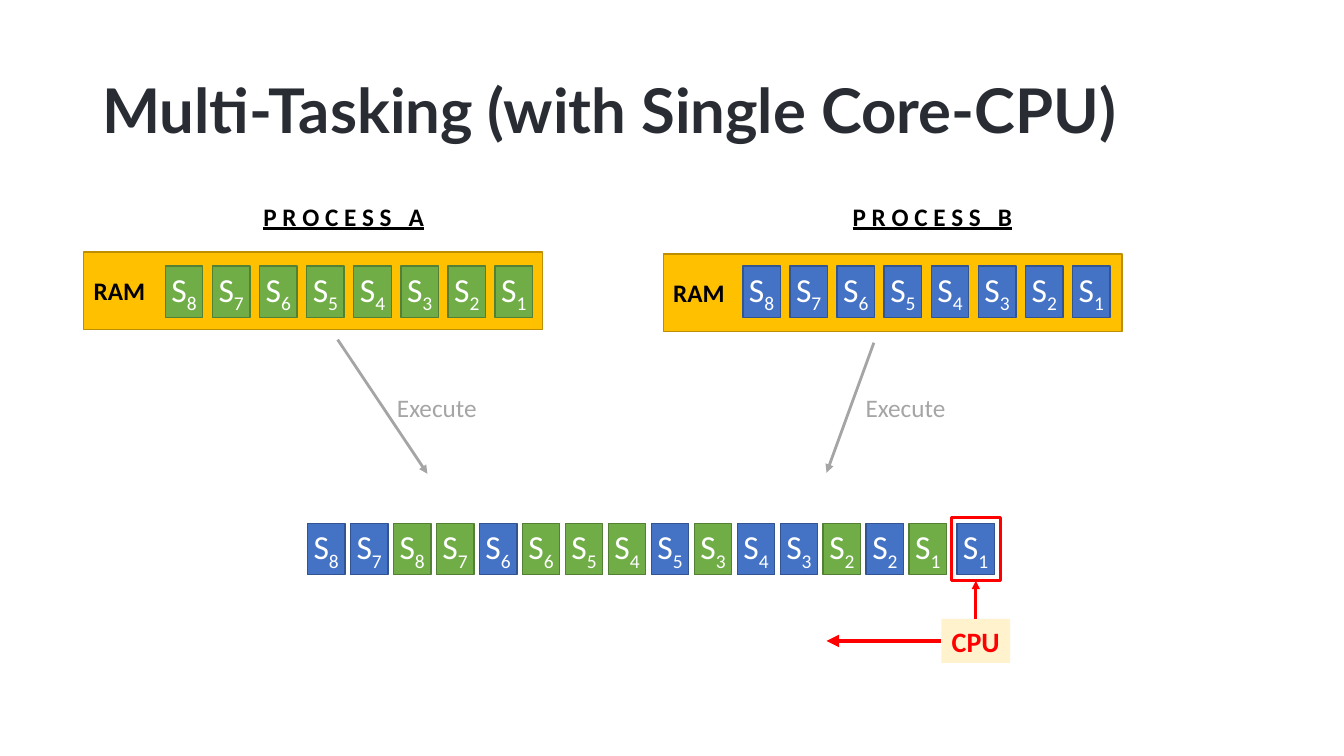
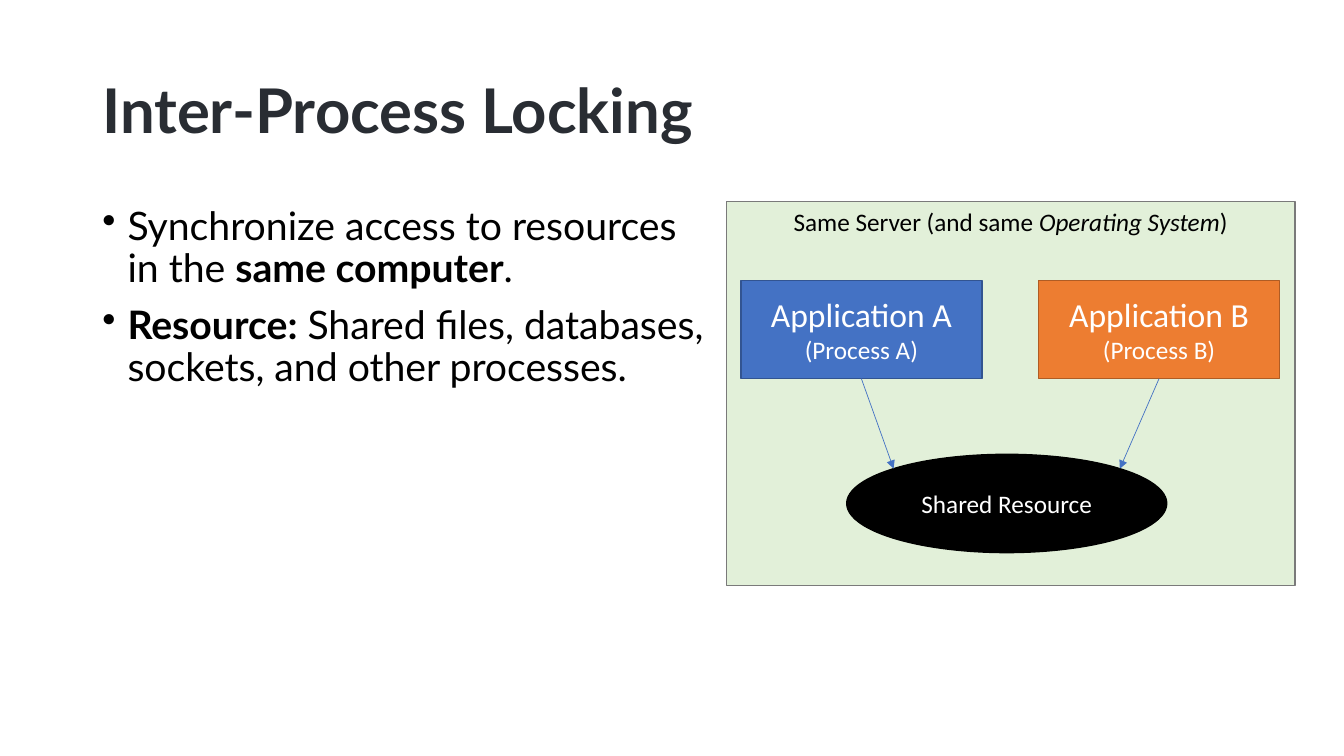
import math

from lxml import etree
from pptx import Presentation
from pptx.dml.color import RGBColor
from pptx.enum import shapes, text
from pptx.oxml import ns
from pptx.util import Pt

COLOURS = {
    "title": "292D33", "black": "000000", "white": "FFFFFF", "gray": "A5A5A5",
    "red": "FF0000", "cream": "FFF2CC", "mint": "E2F0D9", "mint_edge": "7A7A7A",
    "gold": "FFC000", "gold_edge": "BD8E00", "green": "70AD47", "green_edge": "538035",
    "blue": "4472C4", "blue_edge": "325491", "orange": "ED7D31", "orange_edge": "AF5C24",
}
HEADING_FONT, DIAGRAM_FONT = "Lato", "Calibri"
RECTANGLE, OVAL = shapes.MSO_SHAPE.RECTANGLE, shapes.MSO_SHAPE.OVAL
CENTER = text.PP_ALIGN.CENTER
MIDDLE = text.MSO_ANCHOR.MIDDLE

PROCESSES = [
    {"name": "PROCESS A", "colour": "green", "ram": (59.8, 180), "cards": 118.1,
     "label": 114.5, "arrow": (241.2, 242.6, 305.3, 338.4), "execute": 276.5},
    {"name": "PROCESS B", "colour": "blue", "ram": (473.8, 181.4), "cards": 530.6,
     "label": 535, "arrow": (624.2, 244.8, 590.4, 337.7), "execute": 611.3},
]
STATEMENTS = range(8, 0, -1)
QUEUE = [("blue", 8), ("blue", 7), ("green", 8), ("green", 7), ("blue", 6),
         ("green", 6), ("green", 5), ("green", 4), ("blue", 5), ("green", 3),
         ("blue", 4), ("blue", 3), ("green", 2), ("blue", 2), ("green", 1)]
RUNNING = ("blue", 1)
CARD_WIDTH, CARD_HEIGHT = 26.8, 36.8
CARD_TOP, QUEUE_TOP = 190, 373.8
CARD_PITCH, QUEUE_PITCH = 33.65, 30.7

BULLETS = [
    [("Synchronize access to resources in the ", ""), ("same computer", "b"), (".", "")],
    [("Resource:", "b"), (" Shared files, databases, sockets, and other processes.", "")],
]
SERVER_LABEL = [("Same Server (and same ", ""), ("Operating System", "i"), (")", "")]
APPLICATIONS = [("Application A", "(Process A)", "blue", 529.2),
                ("Application B", "(Process B)", "orange", 741.8)]


def rgb(name):
    return RGBColor.from_string(COLOURS[name])


def style(paragraph, size, colour, font=DIAGRAM_FONT, bold=None, align=None):
    paragraph.font.size = Pt(size)
    paragraph.font.name = font
    paragraph.font.color.rgb = rgb(colour)
    paragraph.font.bold = bold
    paragraph.alignment = align


def add_runs(paragraph, parts):
    for words, emphasis in parts:
        run = paragraph.add_run()
        run.text = words
        if emphasis == "b":
            run.font.bold = True
        if emphasis == "i":
            run.font.italic = True


def add_text(slide, box, words="", wrap=True):
    shape = slide.shapes.add_textbox(*map(Pt, box))
    shape.text_frame.word_wrap = wrap
    paragraph = shape.text_frame.paragraphs[0]
    if words:
        paragraph.text = words
    return shape.text_frame, paragraph


def add_box(slide, box, fill=None, edge=None, width=1, kind=RECTANGLE):
    shape = slide.shapes.add_shape(kind, *map(Pt, box))
    shape.shadow.inherit = False
    if fill:
        shape.fill.solid()
        shape.fill.fore_color.rgb = rgb(fill)
    else:
        shape.fill.background()
    if edge:
        shape.line.color.rgb = rgb(edge)
        shape.line.width = Pt(width)
    else:
        shape.line.fill.background()
    shape.text_frame.vertical_anchor = MIDDLE
    return shape


def add_arrow(slide, ends, colour, width, start=None, finish=None):
    arrow = slide.shapes.add_connector(shapes.MSO_CONNECTOR.STRAIGHT, *map(Pt, ends))
    if start:
        arrow.begin_connect(*start)
    if finish:
        arrow.end_connect(*finish)
    arrow.line.color.rgb = rgb(colour)
    arrow.line.width = Pt(width)
    properties = arrow._element.spPr
    line = properties.find(ns.qn("a:ln"))
    etree.SubElement(line, ns.qn("a:tailEnd"), type="triangle")
    etree.SubElement(properties, ns.qn("a:effectLst"))


def add_card(slide, left, top, colour, number):
    card = add_box(slide, (left, top, CARD_WIDTH, CARD_HEIGHT), colour, colour + "_edge")
    frame = card.text_frame
    frame.margin_left = frame.margin_right = frame.margin_top = frame.margin_bottom = 0
    paragraph = frame.paragraphs[0]
    style(paragraph, 24, "white", align=CENTER)
    add_runs(paragraph, [("S", ""), (str(number), "")])
    paragraph.runs[1]._r.get_or_add_rPr().set("baseline", "-25000")


def add_slide(presentation, title):
    slide = presentation.slides.add_slide(presentation.slide_layouts[6])
    frame, paragraph = add_text(slide, (66, 28.75, 828, 104.4), title)
    frame.vertical_anchor = MIDDLE
    paragraph.line_spacing = 0.9
    style(paragraph, 44, "title", HEADING_FONT, True)
    return slide


def add_process(slide, process):
    ram = add_box(slide, (*process["ram"], 327.8, 55.4), "gold", "gold_edge")
    paragraph = ram.text_frame.paragraphs[0]
    paragraph.text = "RAM"
    style(paragraph, 18, "black", bold=True, align=text.PP_ALIGN.LEFT)
    for index, number in enumerate(STATEMENTS):
        add_card(slide, process["cards"] + index * CARD_PITCH, CARD_TOP,
                 process["colour"], number)
    _, paragraph = add_text(slide, (process["label"], 139.9, 262, 29), " ".join(process["name"]))
    style(paragraph, 18, "black", bold=True, align=CENTER)
    paragraph.font.underline = True
    add_arrow(slide, process["arrow"], "gray", 2)
    _, paragraph = add_text(slide, (process["execute"], 276.8, 72, 29), "Execute", wrap=False)
    style(paragraph, 18, "gray")


def build_multitasking(presentation):
    slide = add_slide(presentation, "Multi-Tasking (with Single Core-CPU)")
    for process in PROCESSES:
        add_process(slide, process)
    for index, (colour, number) in enumerate(QUEUE):
        add_card(slide, 219.6 + index * QUEUE_PITCH, QUEUE_TOP, colour, number)
    focus = add_box(slide, (679.5, 369.4, 35, 45.4), edge="red", width=2)
    add_card(slide, 683.5, QUEUE_TOP, *RUNNING)
    cpu = add_box(slide, (672.4, 442.1, 49.2, 31.5), "cream")
    cpu.text_frame.word_wrap = False
    paragraph = cpu.text_frame.paragraphs[0]
    paragraph.text = "CPU"
    style(paragraph, 20, "red", bold=True, align=CENTER)
    add_arrow(slide, (697, 442.1, 697, 414.8), "red", 2, (cpu, 0), (focus, 2))
    add_arrow(slide, (672.4, 457.85, 590.4, 457.85), "red", 3, (cpu, 1))


def build_locking(presentation):
    slide = add_slide(presentation, "Inter-Process Locking")
    add_box(slide, (519.1, 144, 406, 274.3), "mint", "mint_edge")

    left, top, width, height = 604.8, 324.5, 228.6, 70.2
    resource = add_box(slide, (left, top, width, height), "black", "black", kind=OVAL)
    paragraph = resource.text_frame.paragraphs[0]
    paragraph.text = "Shared Resource"
    style(paragraph, 18, "white", align=CENTER)
    reach = math.sqrt(0.5) / 2
    target_y = top + height * (0.5 - reach)

    for (name, detail, colour, box_left), side in zip(APPLICATIONS, (-1, 1)):
        box = add_box(slide, (box_left, 200.4, 172.2, 70.1), colour, colour + "_edge")
        paragraph = box.text_frame.paragraphs[0]
        style(paragraph, 24, "white", align=CENTER)
        add_runs(paragraph, [(name, "")])
        paragraph.add_line_break()
        add_runs(paragraph, [(detail, "")])
        paragraph.runs[1].font.size = Pt(18)
        target_x = left + width * (0.5 + side * reach)
        add_arrow(slide, (box_left + 86.1, 270.5, target_x, target_y), "blue", 0.5, (box, 2))

    frame, paragraph = add_text(slide, (66, 144, 453, 342.6))
    for index, parts in enumerate(BULLETS):
        if index:
            paragraph = frame.add_paragraph()
        style(paragraph, 28, "black", HEADING_FONT)
        paragraph.line_spacing = 0.9
        paragraph.space_before = Pt(10)
        add_runs(paragraph, parts)
        properties = paragraph._p.get_or_add_pPr()
        properties.set("marL", str(Pt(18)))
        properties.set("indent", str(-Pt(18)))
        bullet = etree.Element(ns.qn("a:buChar"), char="•")
        properties.find(ns.qn("a:defRPr")).addprevious(bullet)

    _, paragraph = add_text(slide, (529.2, 144, 385.2, 29))
    style(paragraph, 18, "black", align=CENTER)
    add_runs(paragraph, SERVER_LABEL)


def main():
    presentation = Presentation()
    presentation.slide_width, presentation.slide_height = Pt(960), Pt(540)
    build_multitasking(presentation)
    build_locking(presentation)
    presentation.save("out.pptx")


if __name__ == "__main__":
    main()
